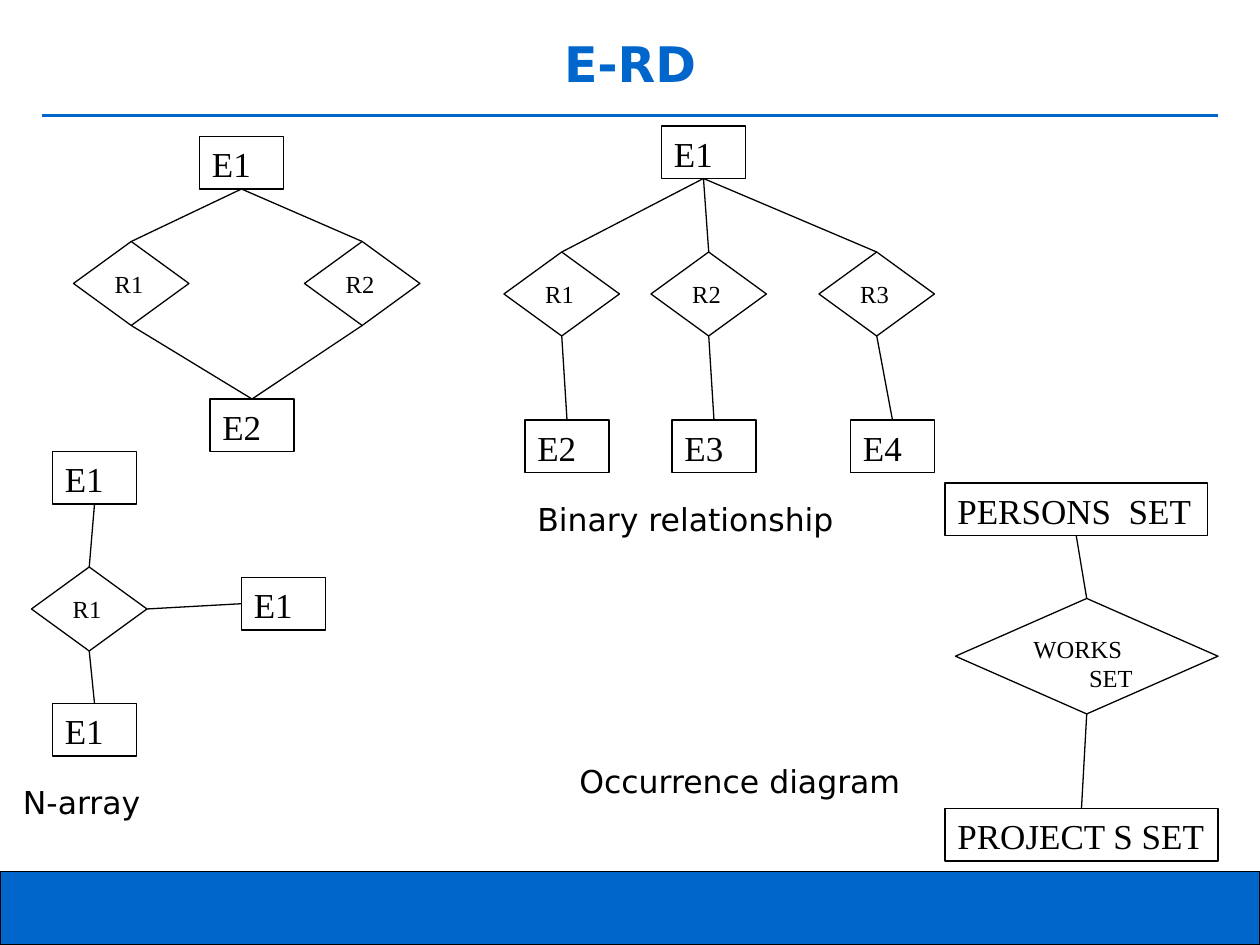
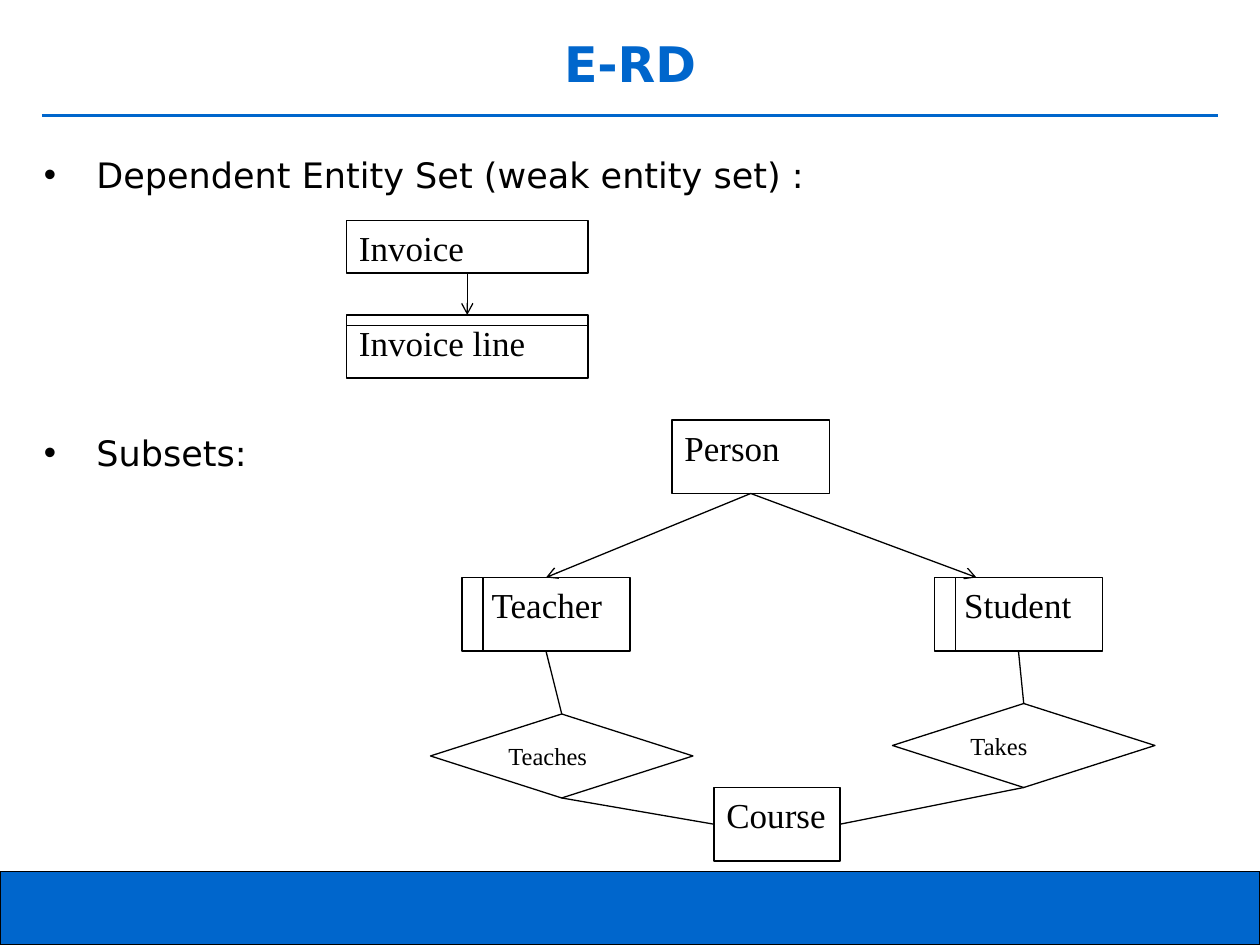
from lxml.etree import SubElement
from pptx import Presentation
from pptx.dml.color import RGBColor
from pptx.enum.shapes import MSO_CONNECTOR, MSO_SHAPE
from pptx.enum.text import MSO_ANCHOR as ANCHOR, PP_ALIGN as ALIGN
from pptx.oxml.ns import qn
from pptx.util import Cm, Pt

BLUE, BLACK = "0066CC", "000000"
SANS, SERIF = "DejaVu Sans", "Times New Roman"
TITLE = {"name": SANS, "size": Pt(28), "bold": True}
BULLET = {"name": SANS, "size": Pt(20)}
CAPTION = {"name": SANS, "size": Pt(18)}
ENTITY = {"name": SERIF, "size": Pt(20)}
RELATION = {"name": SERIF, "size": Pt(14)}
FRAME = {"word_wrap": True, "vertical_anchor": ANCHOR.TOP,
         "margin_left": Cm(0.25), "margin_right": Cm(0.25),
         "margin_top": Cm(0.13), "margin_bottom": Cm(0.13)}
# Connection sites of boxes and diamonds
TOP, LEFT, BOTTOM, RIGHT = range(4)


def grid(n):
    """Everything sits on a grid of 12 steps to the inch."""
    return Cm(2.54 * n / 12)


def color(value):
    return RGBColor.from_string(value)


def set_all(obj, values):
    for name, value in values.items():
        setattr(obj, name, value)


def outline(shape, hue=BLACK, width=0.75):
    shape.line.color.rgb = color(hue)
    shape.line.width = Pt(width)


# Text
def write(tf, lines, font, hue=BLACK, align=ALIGN.LEFT, **frame):
    """Write (text, left indent) lines, one paragraph each."""
    set_all(tf, {**FRAME, **frame})
    for i, (text, indent) in enumerate(lines):
        p = tf.add_paragraph() if i else tf.paragraphs[0]
        p.alignment = align
        if indent:
            p._p.get_or_add_pPr().set("marL", str(indent))
        r = p.add_run()
        r.text = text
        set_all(r.font, font)
        r.font.color.rgb = color(hue)


def textbox(s, x, y, w, h, lines, font, **options):
    tf = s.shapes.add_textbox(*map(grid, (x, y, w, h))).text_frame
    write(tf, lines, font, **options)
    return tf


def caption(s, x, y, text):
    textbox(s, x, y, 41, 4.8, [(text, 0)], CAPTION)


def bullets(s, x, y, w, h, texts, gap):
    indent = grid(5)
    tf = textbox(s, x, y, w, h, [(text, indent) for text in texts], BULLET)
    for p in tf.paragraphs:
        pPr = p._p.get_or_add_pPr()
        pPr.set("indent", str(-indent))
        SubElement(pPr, qn("a:buFont"), typeface="Arial")
        SubElement(pPr, qn("a:buChar"), char="•")
    for p in tf.paragraphs[1:]:
        p.space_before = gap


# Diagram parts
def shape(s, kind, x, y, w, h, fill=None):
    sp = s.shapes.add_shape(kind, *map(grid, (x, y, w, h)))
    sp.shadow.inherit = False
    if fill:
        sp.fill.solid()
        sp.fill.fore_color.rgb = color(fill)
    else:
        sp.fill.background()
    outline(sp)
    return sp


def entity(s, x, y, text, w=8, h=5, indent=0):
    sp = shape(s, MSO_SHAPE.FLOWCHART_PROCESS, x, y, w, h)
    write(sp.text_frame, [(text, indent)], ENTITY)
    return sp


def relation(s, x, y, *lines, w=11, h=8):
    sp = shape(s, MSO_SHAPE.FLOWCHART_DECISION, x, y, w, h)
    write(sp.text_frame, lines, RELATION)
    return sp


def line(s, start, end, hue=BLACK, width=0.75, arrow=False):
    """Join two ends, each a (shape, site) pair or an (x, y) grid point."""
    points = [(0, 0) if hasattr(a, "shape_id") else (grid(a), grid(b))
              for a, b in (start, end)]
    cx = s.shapes.add_connector(MSO_CONNECTOR.STRAIGHT, *points[0], *points[1])
    for (a, site), connect in ((start, cx.begin_connect), (end, cx.end_connect)):
        if hasattr(a, "shape_id"):
            connect(a, site)
    outline(cx, hue, width)
    spPr = cx._element.spPr
    if arrow:
        SubElement(spPr.find(qn("a:ln")), qn("a:tailEnd"), type="arrow")
    SubElement(spPr, qn("a:effectLst"))


def new_slide(prs, title):
    s = prs.slides.add_slide(prs.slide_layouts[6])
    shape(s, MSO_SHAPE.RECTANGLE, 0, 83, 120, 7, BLUE)
    line(s, (4, 11), (116, 11), BLUE, 2.25)
    textbox(s, 4, 2, 112, 8, [(title, 0)], TITLE, hue=BLUE,
            align=ALIGN.CENTER, vertical_anchor=ANCHOR.MIDDLE)
    return s


# Slides
def relationships(prs):
    s = new_slide(prs, "E-RD")

    # Two relationships between the same entities
    first, second = entity(s, 19, 13, "E1"), entity(s, 20, 38, "E2")
    for x, name in ((7, "R1"), (29, "R2")):
        rel = relation(s, x, 23, (name, 0))
        line(s, (first, BOTTOM), (rel, TOP))
        line(s, (rel, BOTTOM), (second, TOP))

    # Binary relationships
    root = entity(s, 63, 12, "E1")
    for i, (rel_x, entity_x) in enumerate(((48, 50), (62, 64), (78, 81)), 1):
        rel = relation(s, rel_x, 24, (f"R{i}", 0))
        line(s, (root, BOTTOM), (rel, TOP))
        line(s, (rel, BOTTOM), (entity(s, entity_x, 40, f"E{i + 1}"), TOP))
    caption(s, 50, 47, "Binary relationship")

    # N-ary relationship
    rel = relation(s, 3, 54, ("R1", 0))
    for x, y, rel_site, site in ((5, 43, TOP, BOTTOM), (23, 55, RIGHT, LEFT),
                                 (5, 67, BOTTOM, TOP)):
        line(s, (rel, rel_site), (entity(s, x, y, "E1"), site))
    caption(s, 1, 74, "N-array")

    # Occurrence diagram
    persons = entity(s, 90, 46, "PERSONS  SET", w=25)
    projects = entity(s, 90, 77, "PROJECT S SET", w=26)
    works = relation(s, 91, 57, ("WORKS", 0), ("SET", Cm(1.12)), w=25, h=11)
    line(s, (persons, BOTTOM), (works, TOP))
    line(s, (works, BOTTOM), (projects, TOP))
    caption(s, 54, 72, "Occurrence diagram")


def weak_entities_and_subsets(prs):
    s = new_slide(prs, "E-RD")
    bullets(s, 3, 14, 112, 67,
            ["Dependent Entity Set (weak entity set) :", "Subsets:"], Pt(135))

    # Weak entity set
    invoice = entity(s, 33, 21, "Invoice", w=23)
    invoice_line = entity(s, 33, 30, "Invoice line", w=23, h=6)
    line(s, (33, 31), (56, 31))
    line(s, (invoice, BOTTOM), (invoice_line, TOP), arrow=True)

    # Subsets of a person, tied to a course
    person = entity(s, 64, 40, "Person", w=15, h=7)
    course = entity(s, 68, 75, "Course", w=12, h=7)
    for x, name, arrow_x, rel_x, rel_y, rel_name, side in (
            (44, "Teacher", 52, 41, 68, "Teaches", LEFT),
            (89, "Student", 93, 85, 67, "Takes", RIGHT)):
        subset = entity(s, x, 55, name, w=16, h=7, indent=Cm(0.35))
        line(s, (x + 2, 55), (x + 2, 62))
        line(s, (person, BOTTOM), (arrow_x, 55), arrow=True)
        rel = relation(s, rel_x, rel_y, (rel_name, 0), w=25)
        line(s, (subset, BOTTOM), (rel, TOP))
        line(s, (rel, BOTTOM), (course, side))


def main():
    prs = Presentation()
    prs.slide_width, prs.slide_height = Cm(25.4), Cm(19.05)
    relationships(prs)
    weak_entities_and_subsets(prs)
    prs.save("out.pptx")


if __name__ == "__main__":
    main()
